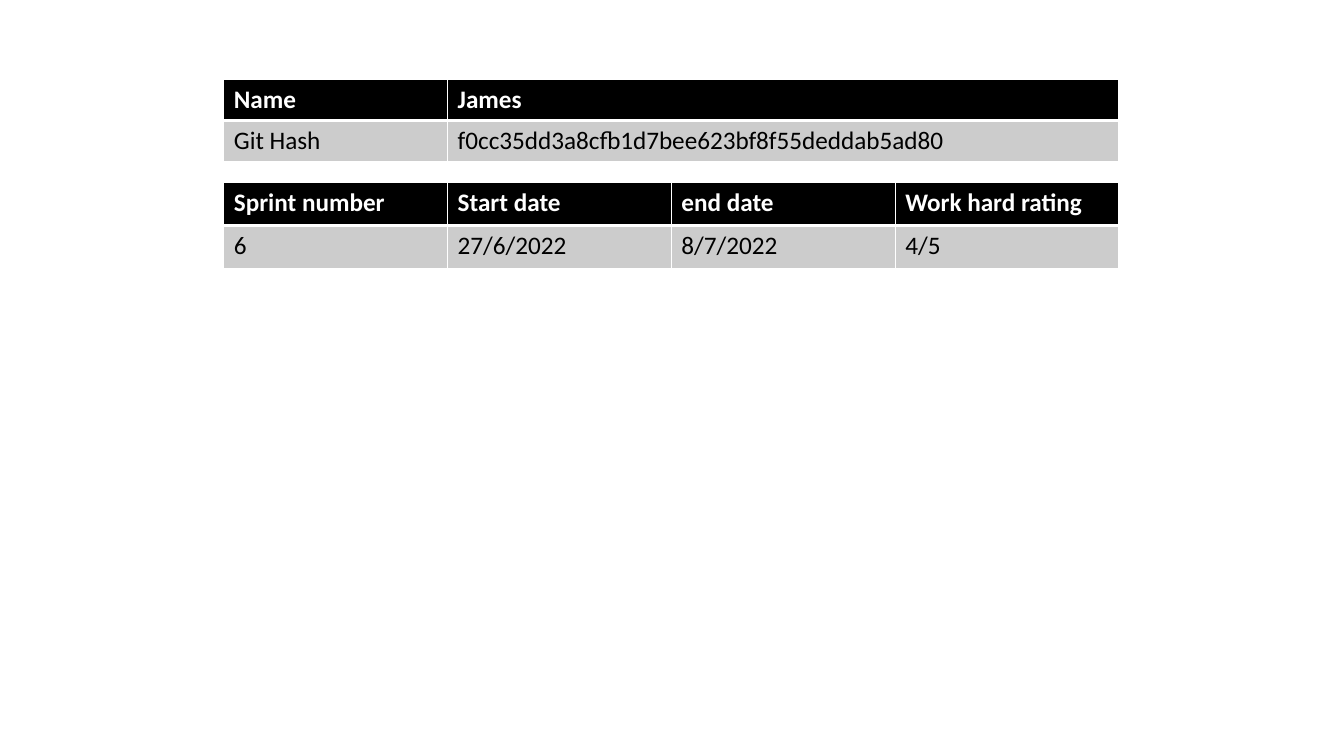
from dataclasses import dataclass

from lxml import etree
from pptx import Presentation
from pptx import util as u
from pptx.dml.color import RGBColor
from pptx.oxml import ns


@dataclass(frozen=True)
class Theme:
    font: str = "Calibri"
    size: int = 18
    header_fill: str = "000000"
    header_text: str = "FFFFFF"
    body_fill: str = "CCCCCC"
    body_text: str = "000000"
    border: str = "FFFFFF"
    thin: int = 1
    thick: int = 3


THEME = Theme()
COLUMN = 5.64  # one quarter of the table width, in cm


def set_borders(cell, widths):
    """Add left, right, top and bottom lines, widths in points."""
    properties = cell._tc.get_or_add_tcPr()
    for side, width in zip("LRTB", widths):
        line = etree.SubElement(properties, ns.qn(f"a:ln{side}"), w=str(u.Pt(width)))
        fill = etree.SubElement(line, ns.qn("a:solidFill"))
        etree.SubElement(fill, ns.qn("a:srgbClr"), val=THEME.border)


def fill_cell(cell, words, is_header):
    thin, thick = THEME.thin, THEME.thick
    # The thick rule runs between header and body
    set_borders(cell, (thin, thin, thin, thick) if is_header else (thin, thin, thick, thin))
    cell.fill.solid()
    cell.fill.fore_color.rgb = RGBColor.from_string(
        THEME.header_fill if is_header else THEME.body_fill)
    run = cell.text_frame.paragraphs[0].add_run()
    run.text = words
    run.font.name = THEME.font
    run.font.size = u.Pt(THEME.size)
    run.font.bold = is_header
    run.font.color.rgb = RGBColor.from_string(
        THEME.header_text if is_header else THEME.body_text)


def add_header_table(slide, left, top, row_height, column_widths, rows):
    """Place a table whose first row is the header; lengths in cm."""
    frame = slide.shapes.add_table(
        len(rows), len(column_widths), u.Cm(left), u.Cm(top),
        u.Cm(sum(column_widths)), u.Cm(row_height * len(rows)))
    table = frame.table
    for column, width in zip(table.columns, column_widths):
        column.width = u.Cm(width)
    for row_index, row in enumerate(rows):
        table.rows[row_index].height = u.Cm(row_height)
        for column_index, words in enumerate(row):
            fill_cell(table.cell(row_index, column_index), words, row_index == 0)


def add_sprint_slide(presentation):
    slide = presentation.slides.add_slide(presentation.slide_layouts[6])
    # Author and commit
    add_header_table(slide, COLUMN, 2.01, 1.03, [COLUMN, 3 * COLUMN], [
        ["Name", "James"],
        ["Git Hash", "f0cc35dd3a8cfb1d7bee623bf8f55deddab5ad80"],
    ])
    # Sprint dates and rating
    add_header_table(slide, COLUMN, 4.6, 1.08, [COLUMN] * 4, [
        ["Sprint number", "Start date", "end date", "Work hard rating"],
        ["6", "27/6/2022", "8/7/2022", "4/5"],
    ])


def main():
    presentation = Presentation()
    presentation.slide_width = u.Cm(33.87)
    presentation.slide_height = u.Cm(19.05)
    add_sprint_slide(presentation)
    presentation.save("out.pptx")


if __name__ == "__main__":
    main()
